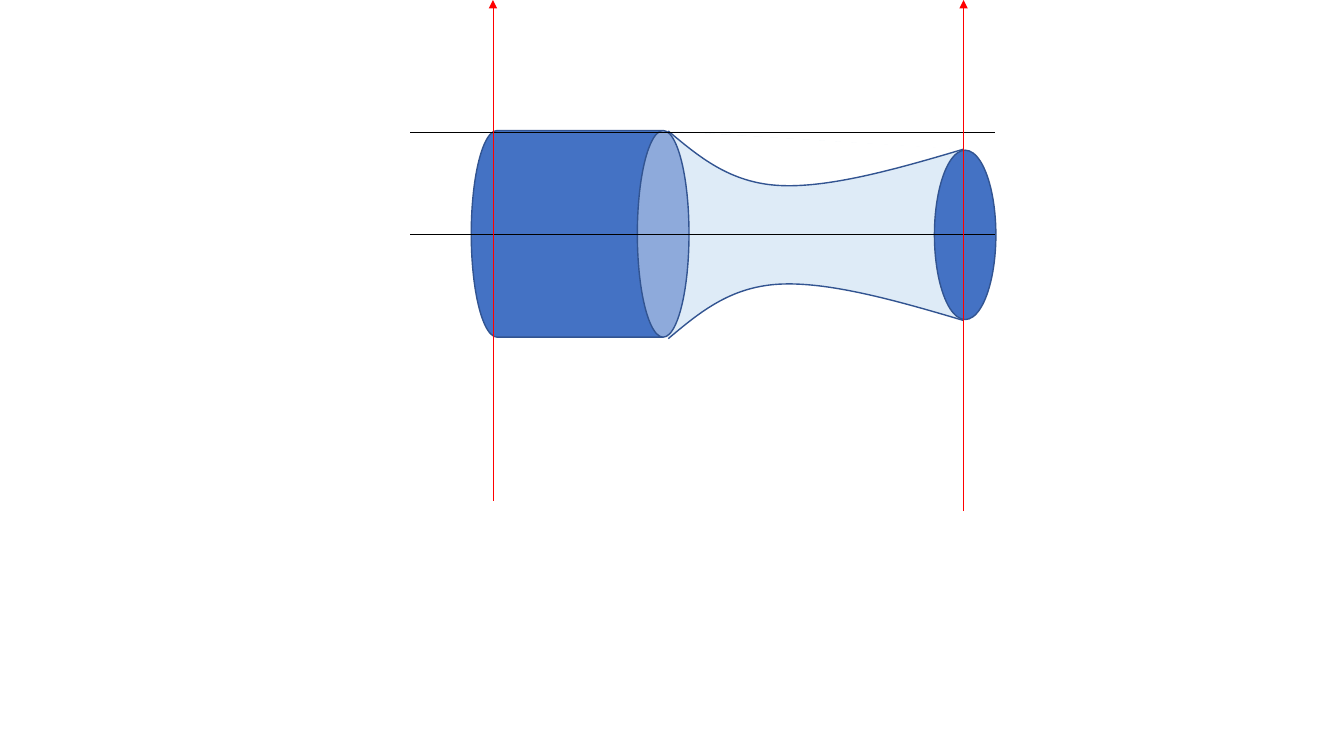
import pptx
import pptx.util
import pptx.dml.color
import pptx.enum.shapes
import pptx.oxml
import pptx.oxml.ns

Pt = pptx.util.Pt
KIND = pptx.enum.shapes.MSO_SHAPE
HUES = {"pale": "DEEBF7", "blue": "4472C4", "edge": "325491",
        "white": "FFFFFF", "black": "000000", "red": "FF0000"}

AXIS = 167.76           # centre line of the tube
LEFT, RIGHT = 293.04, 710.64
INLET, OUTLET = 352.08, 688.32
WALL = [(477.36, 93.6),
        (499.68, 112.32), (521.28, 130.32), (555.84, 132.48),
        (591.12, 134.64), (640.08, 120.96), (688.32, 106.56)]


def color(name):
    return pptx.dml.color.RGBColor.from_string(HUES[name])


def paint(shape, fill, line=None):
    shape.shadow.inherit = False
    shape.fill.solid()
    shape.fill.fore_color.rgb = color(fill)
    if line:
        shape.line.color.rgb = color(line)
        shape.line.width = Pt(1)
    else:
        shape.line.fill.background()


def solid(shapes, kind, box, fill, line=None, turn=0):
    shape = shapes.add_shape(kind, *map(Pt, box))
    shape.rotation = turn
    paint(shape, fill, line)
    return shape


def curve(shapes, points):
    """Draw an open chain of cubic curves: a start, then three points each."""
    start, *rest = [(Pt(x), Pt(y)) for x, y in points]
    maker = shapes.build_freeform(*start)
    maker.add_line_segments(rest, close=False)
    shape = maker.convert_to_shape()
    # Join each three straight segments into one cubic curve
    steps = shape.element.xpath(".//a:lnTo")
    for i in range(0, len(steps), 3):
        cubic = pptx.oxml.parse_xml(
            "<a:cubicBezTo %s/>" % pptx.oxml.ns.nsdecls("a"))
        steps[i].addprevious(cubic)
        for step in steps[i:i + 3]:
            cubic.append(step[0])
            step.getparent().remove(step)
    paint(shape, "white", "edge")


def rule(shapes, start, end, hue, arrow=False):
    line = shapes.add_connector(
        pptx.enum.shapes.MSO_CONNECTOR.STRAIGHT, *map(Pt, start + end))
    line.line.color.rgb = color(hue)
    line.line.width = Pt(0.5)
    if arrow:
        line.line._get_or_add_ln().append(pptx.oxml.parse_xml(
            '<a:tailEnd %s type="triangle"/>' % pptx.oxml.ns.nsdecls("a")))
    line.element.spPr.append(pptx.oxml.parse_xml(
        "<a:effectLst %s/>" % pptx.oxml.ns.nsdecls("a")))


def main():
    deck = pptx.Presentation()
    deck.slide_width, deck.slide_height = Pt(960), Pt(540)
    shapes = deck.slides.add_slide(deck.slide_layouts[6]).shapes

    # Narrowing tube with mirrored walls
    tube = shapes.add_group_shape().shapes
    body = solid(tube, KIND.TRAPEZOID, (509.04, 61.92, 147.6, 210.96),
                 "pale", turn=90)
    body.adjustments[0] = 0.091
    curve(tube, WALL)
    curve(tube, [(x, 2 * AXIS - y) for x, y in WALL])

    # Outlet disc and inlet cylinder
    solid(shapes, KIND.OVAL, (667.44, 107.28, 43.92, 120.96), "blue", "edge")
    solid(shapes, KIND.CAN, (340.56, 89.28, 147.6, 155.52),
          "blue", "edge", turn=90)

    # Level lines and upright arrows
    for y in (AXIS, 94.32):
        rule(shapes, (LEFT, y), (RIGHT, y), "black")
    for x, foot in ((OUTLET, 365.04), (INLET, 357.84)):
        rule(shapes, (x, foot), (x, 0), "red", arrow=True)

    deck.save("out.pptx")


if __name__ == "__main__":
    main()
